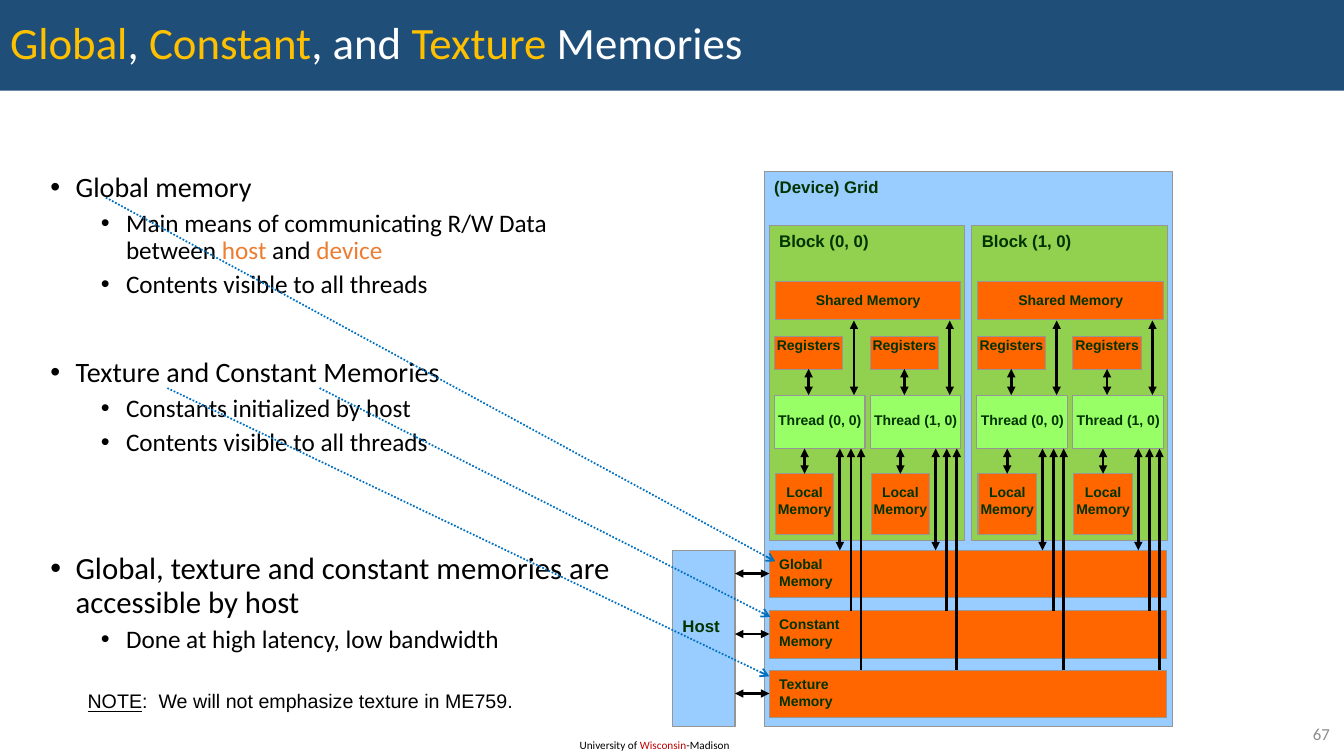
import lxml.etree
import pptx
import pptx.dml.color
import pptx.enum.dml
import pptx.enum.shapes
import pptx.enum.text
import pptx.oxml.ns
import pptx.util

Inches = pptx.util.Inches
ORANGE, GREEN, LIME, BLUE = "FF6600", "92D050", "99FF66", "99CCFF"
BLACK, WHITE, GOLD, ACCENT = "000000", "FFFFFF", "FFC000", "ED7D31"
CENTER = pptx.enum.text.PP_ALIGN.CENTER
MIDDLE = pptx.enum.text.MSO_ANCHOR.MIDDLE
TOP = pptx.enum.text.MSO_ANCHOR.TOP

THREAD_TOP, THREAD_BOTTOM = 3.92, 4.45
MEMORIES = [("Global", 5.46), ("Constant", 6.06), ("Texture", 6.65)]
BODY = [
    (0, 20, 0, [("Global memory", BLACK)]),
    (1, 18, 5, [("Main means of communicating R/W Data between ", BLACK), ("host ", ACCENT),
                ("and ", BLACK), ("device", ACCENT)]),
    (1, 18, 5, [("Contents visible to all threads", BLACK)]),
    (0, 20, 42, [("Texture and Constant Memories", BLACK)]),
    (1, 18, 5, [("Constants initialized by host", BLACK)]),
    (1, 18, 5, [("Contents visible to all threads", BLACK)]),
    (0, 22, 69, [("Global, texture and constant memories are accessible by host", BLACK)]),
    (1, 18, 5, [("Done at high latency, low bandwidth", BLACK)]),
]


def color(value):
    """Return an RGB colour from a hex string."""
    return pptx.dml.color.RGBColor.from_string(value)


def add_element(parent, tag, **attributes):
    """Append a drawing element with attributes."""
    element = lxml.etree.SubElement(parent, pptx.oxml.ns.qn(tag))
    for name, value in attributes.items():
        element.set(name, value)


def place(shape, left, top, width, height):
    """Set the position and size of a shape."""
    shape.left, shape.top = Inches(left), Inches(top)
    shape.width, shape.height = Inches(width), Inches(height)


def write_spans(para, spans, size, name="Calibri"):
    """Fill a paragraph with coloured spans of text."""
    for text, span_color in spans:
        span = para.add_run()
        span.text = text
        span.font.size = pptx.util.Pt(size)
        span.font.name = name
        span.font.color.rgb = color(span_color)


def add_label(slide, bounds, spans, size, name="Calibri"):
    """Add a one-paragraph text box and return it."""
    box = slide.shapes.add_textbox(*map(Inches, bounds))
    box.text_frame.word_wrap = True
    write_spans(box.text_frame.paragraphs[0], spans, size, name)
    return box


def add_box(shapes, bounds, fill, text, size=10, align=None, side_inset=0.1, top_inset=0.05):
    """Add a filled rectangle with a bold label."""
    box = shapes.add_shape(pptx.enum.shapes.MSO_SHAPE.RECTANGLE, *map(Inches, bounds))
    box.shadow.inherit = False
    box.fill.solid()
    box.fill.fore_color.rgb = color(fill)
    box.line.color.rgb = color("969696")
    box.line.width = pptx.util.Pt(0.75)
    frame = box.text_frame
    frame.text = text
    frame.word_wrap = True
    frame.vertical_anchor = TOP
    frame.margin_left = frame.margin_right = Inches(side_inset)
    frame.margin_top, frame.margin_bottom = Inches(top_inset), 0
    for para in frame.paragraphs:
        para.alignment = align or pptx.enum.text.PP_ALIGN.LEFT
        for span in para.runs:
            span.font.size = pptx.util.Pt(size)
            span.font.name = "Arial"
            span.font.bold = True
            span.font.color.rgb = color("003300")


def add_arrow(shapes, start, end, ends=("head", "tail"), dotted=False):
    """Add a black diagram arrow or a dotted blue pointer."""
    arrow = shapes.add_connector(pptx.enum.shapes.MSO_CONNECTOR.STRAIGHT,
                                 *map(Inches, start + end))
    arrow.line.color.rgb = color("0070C0" if dotted else BLACK)
    arrow.line.width = pptx.util.Pt(1.25 if dotted else 2)
    if dotted:
        arrow.line.dash_style = pptx.enum.dml.MSO_LINE.ROUND_DOT
    properties = arrow.line._get_or_add_ln()
    for side in ends:
        add_element(properties, f"a:{side}End", type="arrow" if dotted else "triangle")
    add_element(arrow._element.spPr, "a:effectLst")


def add_thread(shapes, left, label):
    """Add a thread with its registers, local memory and arrows."""
    add_box(shapes, (left + 0.01, 4.7, 0.58, 0.6), ORANGE, "Local\nMemory", align=CENTER,
            side_inset=0, top_inset=0.1)
    add_box(shapes, (left, THREAD_TOP, 0.9, THREAD_BOTTOM - THREAD_TOP), LIME, label,
            align=CENTER, side_inset=0, top_inset=0.16)
    add_box(shapes, (left, 3.34, 0.68, 0.33), ORANGE, "Registers", align=CENTER,
            side_inset=0, top_inset=0)
    for offset, top, bottom in [(0.79, 3.18, THREAD_TOP), (0.34, 3.66, THREAD_TOP),
                                (0.3, THREAD_BOTTOM, 4.7)]:
        add_arrow(shapes, (left + offset, bottom), (left + offset, top))
    for offset, (name, bottom) in zip((0.65, 0.76, 0.86), MEMORIES):
        ends = ("head", "tail") if name == "Global" else ("head",)
        add_arrow(shapes, (left + offset, THREAD_BOTTOM), (left + offset, bottom), ends)


def add_block(shapes, index):
    """Add a block with shared memory and two threads."""
    left = 7.63 + 2.01 * index
    add_box(shapes, (left, 2.24, 1.94, 3.12), GREEN, f"Block ({index}, 0)", 12)
    add_box(shapes, (left + 0.06, 2.79, 1.84, 0.38), ORANGE, "Shared Memory", align=CENTER,
            side_inset=0, top_inset=0.1)
    for thread in range(2):
        add_thread(shapes, left + 0.05 + 0.95 * thread, f"Thread ({thread}, 0)")


def add_diagram(slide):
    """Add the device grid, the host and the arrows between them."""
    shapes = slide.shapes.add_group_shape().shapes
    add_box(shapes, (7.58, 1.7, 4.05, 5.51), BLUE, "(Device) Grid", 12)
    for name, top in MEMORIES:
        add_box(shapes, (7.63, top, 3.94, 0.47), ORANGE, f"{name}\nMemory")
    for index in range(2):
        add_block(shapes, index)
    add_box(shapes, (6.67, 5.46, 0.62, 1.75), BLUE, "Host", 12, top_inset=0.65)
    for name, top in MEMORIES:
        add_arrow(shapes, (7.29, top + 0.23), (7.63, top + 0.23))


def fill_title(title):
    """Format the title band and its two-colour heading."""
    place(title, 0, 0, 13.33, 0.9)
    title.fill.solid()
    title.fill.fore_color.rgb = color("1F4E79")
    title.text_frame.vertical_anchor = MIDDLE
    para = title.text_frame.paragraphs[0]
    para.alignment = pptx.enum.text.PP_ALIGN.LEFT
    para.line_spacing = 0.9
    write_spans(para, [("Global", GOLD), (", ", WHITE), ("Constant", GOLD), (", and ", WHITE),
                       ("Texture", GOLD), (" Memories", WHITE)], 32)


def fill_body(body):
    """Write the two-level bullet list."""
    place(body, 0.4, 1.67, 5.92, 4.86)
    frame = body.text_frame
    frame.auto_size = pptx.enum.text.MSO_AUTO_SIZE.NONE
    frame.vertical_anchor = TOP
    for index, (level, size, space, spans) in enumerate(BODY):
        para = frame.add_paragraph() if index else frame.paragraphs[0]
        properties = para._p.get_or_add_pPr()
        properties.set("marL", str(Inches(0.25 + 0.5 * level)))
        properties.set("indent", str(Inches(-0.25)))
        add_element(properties, "a:buFont", typeface="Arial")
        add_element(properties, "a:buChar", char="•")
        para.level = level
        para.line_spacing = 0.9
        para.space_before = pptx.util.Pt(space)
        write_spans(para, spans, size)


def main():
    """Build and save the slide."""
    deck = pptx.Presentation()
    deck.slide_width, deck.slide_height = Inches(13.33), Inches(7.5)
    page = deck.slides.add_slide(deck.slide_layouts[1])
    fill_title(page.shapes.title)
    fill_body(page.placeholders[1])
    add_diagram(page)
    add_label(page, (5.65, 7.28, 1.72, 0.24),
              [("University of ", BLACK), ("Wisconsin", "C00000"), ("-Madison", BLACK)], 8)
    number = add_label(page, (12.53, 7.13, 0.76, 0.29), [("67", "8C8C8C")], 12)
    number.text_frame.vertical_anchor = MIDDLE
    number.text_frame.paragraphs[0].alignment = pptx.enum.text.PP_ALIGN.RIGHT
    note = add_label(page, (0.77, 6.79, 4.81, 0.34),
                     [("NOTE", BLACK), (":  We will not emphasize texture in ME759.", BLACK)],
                     14, "Arial")
    note.text_frame.paragraphs[0].runs[0].font.underline = True
    for start, end in [((3.17, 3.85), (7.64, 6.12)), ((1.66, 3.85), (7.63, 6.71)),
                       ((1.05, 1.96), (7.69, 5.57))]:
        add_arrow(page.shapes, start, end, ("tail",), dotted=True)
    deck.save("out.pptx")


if __name__ == "__main__":
    main()
